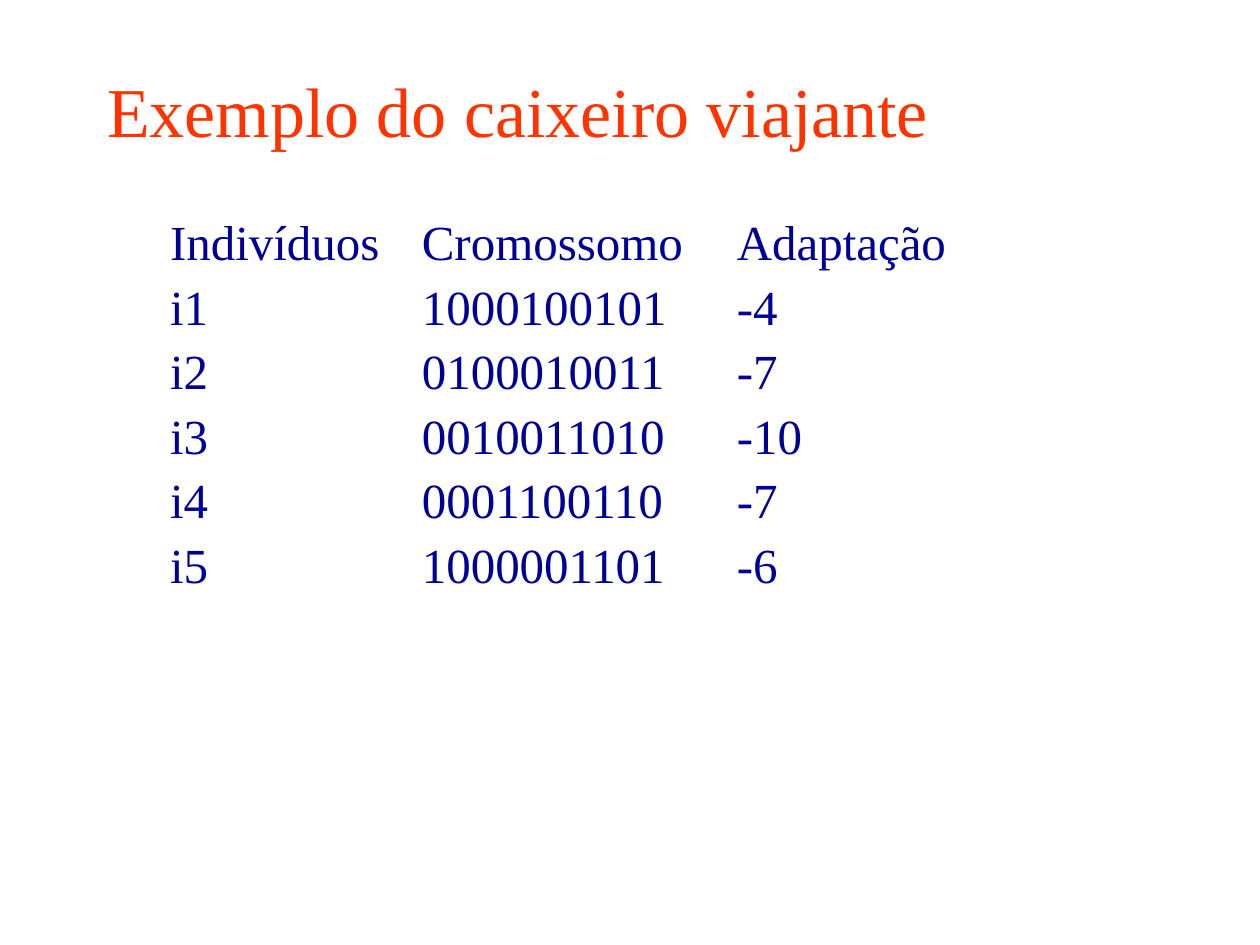
from pptx import Presentation
from pptx.dml.color import RGBColor
from pptx.enum.text import MSO_ANCHOR, MSO_AUTO_SIZE, PP_ALIGN
from pptx.util import Pt
from lxml import etree

LEFT = PP_ALIGN.LEFT
TOP, BOTTOM = MSO_ANCHOR.TOP, MSO_ANCHOR.BOTTOM
NO_FIT = MSO_AUTO_SIZE.NONE
DRAWING = "http://schemas.openxmlformats.org/drawingml/2006/main"
COLORS = {"title": "FF3300", "text": "000099", "background": "FFFFFF"}
ROW_GAP = 3.25


def place(box, left, top, width, height):
    box.left, box.top = Pt(left), Pt(top)
    box.width, box.height = Pt(width), Pt(height)


def style(para, size, color):
    para.alignment = LEFT
    para.font.name = "Times New Roman"
    para.font.size = Pt(size)
    para.font.color.rgb = RGBColor.from_string(COLORS[color])


deck = Presentation()
deck.slide_width, deck.slide_height = Pt(720), Pt(540)
page = deck.slides.add_slide(deck.slide_layouts[1])

title = page.shapes.title
place(title, 54, 42, 612, 48)
title.text_frame.text = "Exemplo do caixeiro viajante"
title.text_frame.auto_size = NO_FIT
title.text_frame.vertical_anchor = BOTTOM
style(title.text_frame.paragraphs[0], 40, "title")

individuals = page.placeholders[1]
chromosomes = page.shapes.add_textbox(0, 0, 0, 0)
fitness = page.shapes.add_textbox(0, 0, 0, 0)

columns = [
    (individuals, 90, 150, 222, ["Indivíduos", "i1", "i2", "i3", "i4", "i5"]),
    (chromosomes, 234, 168, 222,
     ["Cromossomo", "1000100101", "0100010011", "0010011010", "0001100110", "1000001101"]),
    (fitness, 414, 144, 216, ["Adaptação", "-4", "-7", "-10", "-7", "-6"]),
]

for box, left, width, height, entries in columns:
    place(box, left, 114, width, height)
    box.fill.solid()
    box.fill.fore_color.rgb = RGBColor.from_string(COLORS["background"])
    frame = box.text_frame
    frame.word_wrap = True
    frame.auto_size = NO_FIT
    frame.vertical_anchor = TOP
    frame.margin_top = Pt(3.6 + ROW_GAP)
    frame.text = "\n".join(entries)
    for row, para in enumerate(frame.paragraphs):
        para.space_before = Pt(ROW_GAP if row else 0)
        if box is individuals:
            properties = para._p.get_or_add_pPr()
            properties.set("marL", "0")
            properties.set("indent", "0")
            etree.SubElement(properties, f"{{{DRAWING}}}buNone")
        style(para, 28, "text")

deck.save("out.pptx")
